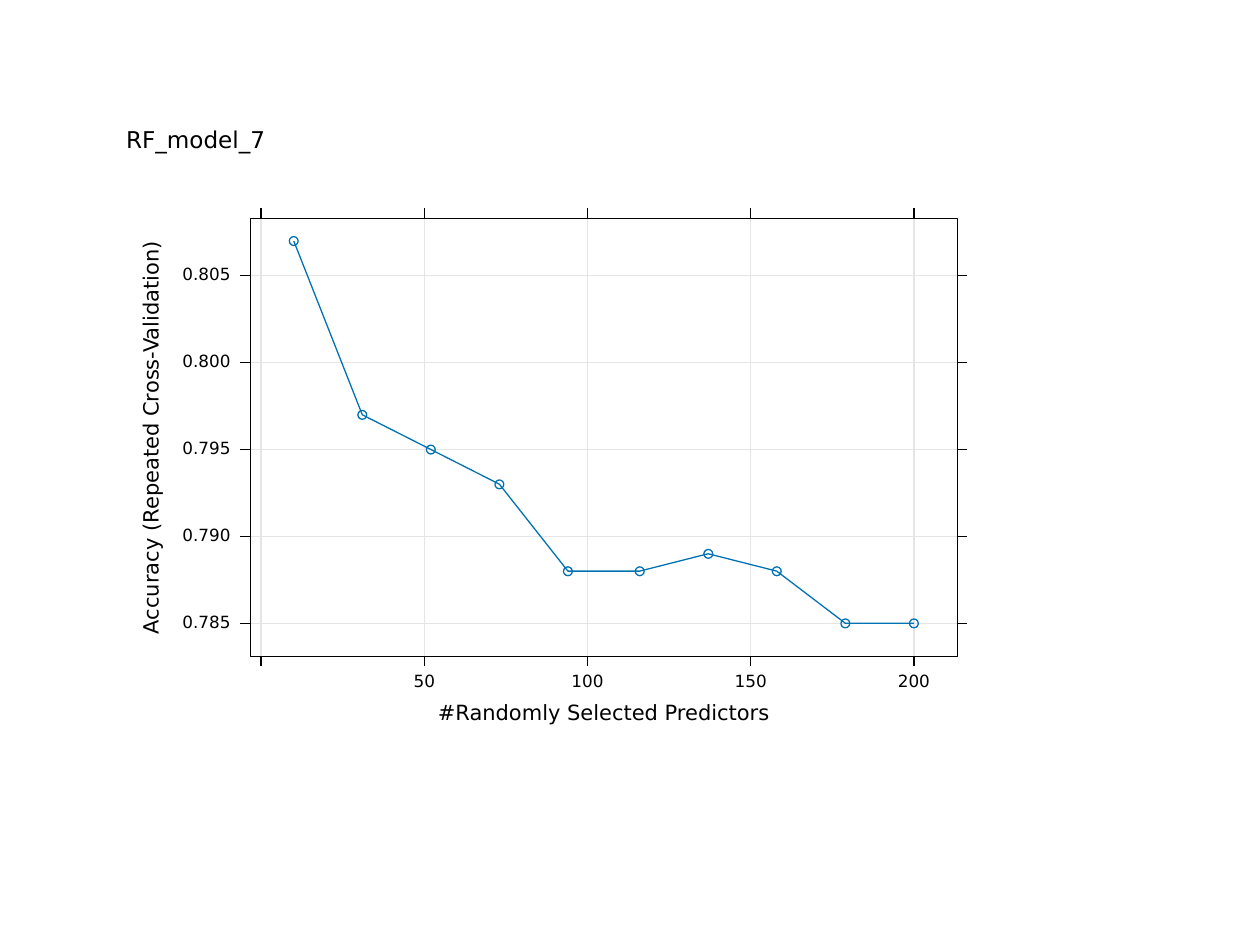
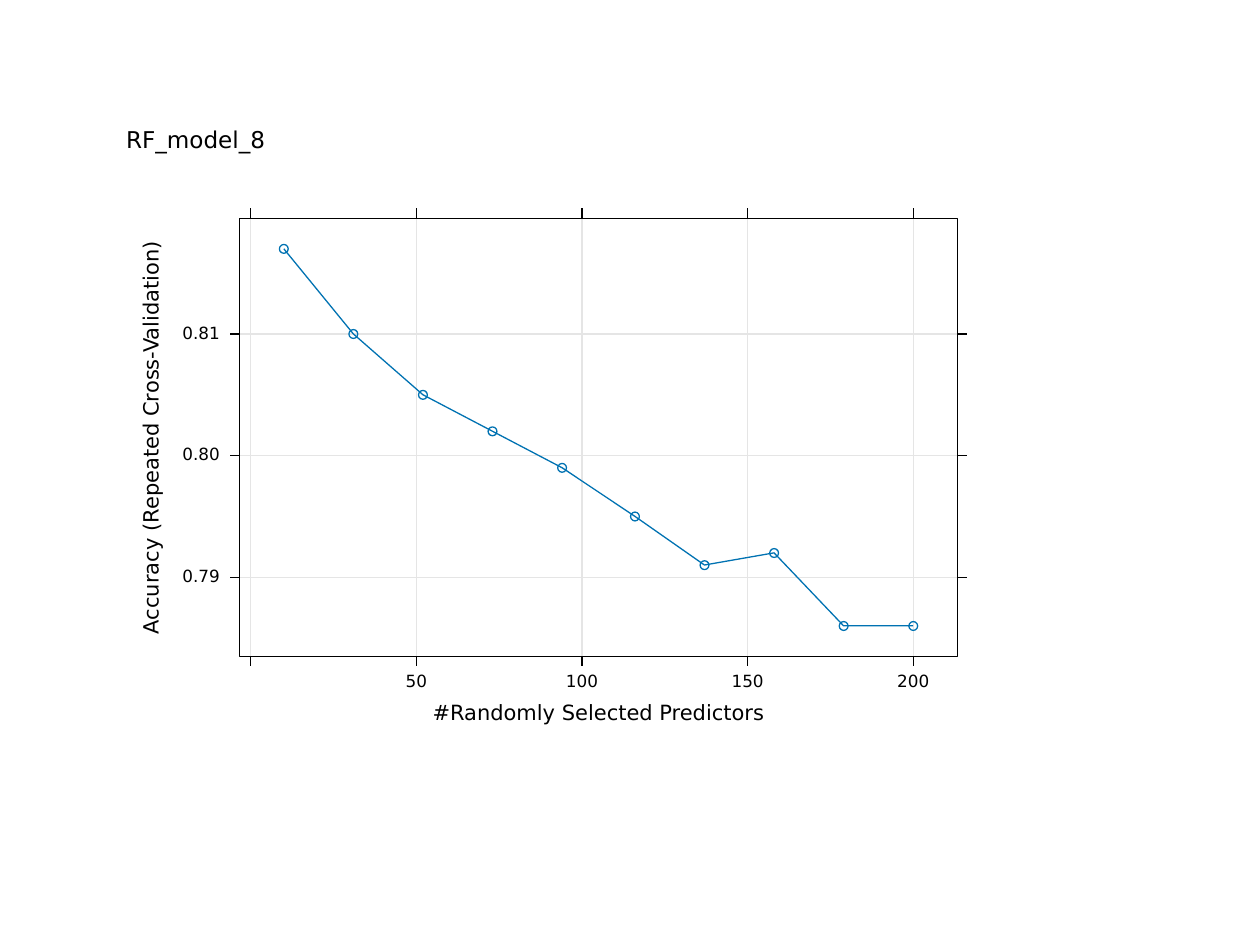
from collections import namedtuple

from lxml import etree
from pptx import Presentation
from pptx import util as u
from pptx.chart import data as cd
from pptx.dml.color import RGBColor
from pptx.enum import chart as ch, shapes, text
from pptx.oxml import parse_xml
from pptx.oxml.ns import nsdecls, qn

BLACK = RGBColor(0, 0, 0)
GRID = RGBColor(0xE5, 0xE5, 0xE5)
BLUE = RGBColor(0x00, 0x72, 0xB2)
FONT = "DejaVu Sans"
COLS, ROWS = 100, 75
CELL = u.Inches(10) // COLS
STROKE = u.Pt(0.75)
TICK = 0.79
DOT = 0.7

Box = namedtuple("Box", "left top right bottom")
Model = namedtuple("Model", "name left span ticks digits scores")

TRIES = [round(10 + 190 * i / 9) for i in range(10)]
X_SPAN = (-3.3, 213.3)
MODELS = [
    Model("RF_model_7", 19.87, (0.7831, 0.8083),
          [0.785, 0.79, 0.795, 0.8, 0.805], 3,
          [0.807, 0.797, 0.795, 0.793, 0.788,
           0.788, 0.789, 0.788, 0.785, 0.785]),
    Model("RF_model_8", 19.03, (0.7835, 0.8195),
          [0.79, 0.8, 0.81], 2,
          [0.817, 0.81, 0.805, 0.802, 0.799,
           0.795, 0.791, 0.792, 0.786, 0.786]),
]


def cells(*counts):
    return [u.Emu(round(n * CELL)) for n in counts]


def style(target, values):
    for key, value in values.items():
        setattr(target, key, value)


def write(frame, words, size, align):
    style(frame, dict(margin_left=0, margin_right=0, margin_top=0, margin_bottom=0,
                      word_wrap=False, auto_size=text.MSO_AUTO_SIZE.NONE,
                      vertical_anchor=text.MSO_ANCHOR.MIDDLE, text=words))
    para = frame.paragraphs[0]
    style(para, dict(alignment=align, line_spacing=u.Pt(size)))
    style(para.runs[0].font, dict(name=FONT, size=u.Pt(size)))
    para.runs[0].font.color.rgb = BLACK


def label(slide, words, mid, size, wide, align=text.PP_ALIGN.CENTER, turn=0):
    high = size / 7.2
    box = slide.shapes.add_textbox(
        *cells(mid[0] - wide / 2, mid[1] - high / 2, wide, high))
    box.rotation = turn
    write(box.text_frame, words, size, align)


def rule(slide, start, end, color):
    line = slide.shapes.add_connector(
        shapes.MSO_CONNECTOR.STRAIGHT, *cells(*start, *end))
    line.line.width = STROKE
    line.line.color.rgb = color
    etree.SubElement(line.element.spPr, qn("a:effectLst"))


def outline(slide, kind, place, color):
    shape = slide.shapes.add_shape(kind, *cells(*place))
    shape.shadow.inherit = False
    shape.fill.background()
    shape.line.width = STROKE
    shape.line.color.rgb = color


def scale(span, start, end):
    low, high = span
    return lambda v: start + (v - low) / (high - low) * (end - start)


def lattice(slide, box, model, to_x, to_y):
    for n in range(0, 201, 50):
        x = to_x(n)
        rule(slide, (x, box.bottom), (x, box.top), GRID)
        rule(slide, (x, box.top), (x, box.top - TICK), BLACK)
        rule(slide, (x, box.bottom), (x, box.bottom + TICK), BLACK)
        if n:
            label(slide, str(n), (x, box.bottom + 2.08), 9.6, 0.85 * len(str(n)))
    edge = box.left - 2 * TICK
    wide = edge - 14.5
    for n in model.ticks:
        y = to_y(n)
        rule(slide, (box.left, y), (box.right, y), GRID)
        rule(slide, (box.left, y), (box.left - TICK, y), BLACK)
        rule(slide, (box.right, y), (box.right + TICK, y), BLACK)
        label(slide, f"{n:.{model.digits}f}", (edge - wide / 2, y), 9.6, wide,
              text.PP_ALIGN.RIGHT)


def curve(slide, box, model):
    data = cd.XyChartData()
    series = data.add_series(model.name)
    for point in zip(TRIES, model.scores):
        series.add_data_point(*point)
    chart = slide.shapes.add_chart(
        ch.XL_CHART_TYPE.XY_SCATTER_LINES_NO_MARKERS,
        *cells(box.left, box.top, box.right - box.left, box.bottom - box.top), data).chart
    style(chart, dict(has_title=False, has_legend=False))
    style(chart.font, dict(name=FONT, size=u.Pt(9.6)))
    for axis, (low, high) in ((chart.category_axis, X_SPAN), (chart.value_axis, model.span)):
        style(axis, dict(minimum_scale=low, maximum_scale=high,
                         has_major_gridlines=False, visible=False))
    plot = chart.plots[0]
    plot.vary_by_categories = False
    line = plot.series[0]
    line.smooth = False
    line.marker.style = ch.XL_MARKER_STYLE.NONE
    line.format.line.width = STROKE
    line.format.line.color.rgb = BLUE
    fill_plot(chart)


def fill_plot(chart):
    root = chart.element.find(qn("c:chart"))
    area = root.find(qn("c:plotArea"))
    for old in area.findall(qn("c:layout")):
        area.remove(old)
    parts = "".join(f'<c:{k} val="{v}"/>' for k, v in (
        ("layoutTarget", "inner"), ("xMode", "edge"), ("yMode", "edge"),
        ("x", 0), ("y", 0), ("w", 1), ("h", 1)))
    area.insert(0, parse_xml(f'<c:layout {nsdecls("c")}><c:manualLayout>{parts}'
                             '</c:manualLayout></c:layout>'))
    clear = (f'<c:spPr {nsdecls("c", "a")}><a:noFill/>'
             '<a:ln><a:noFill/></a:ln></c:spPr>')
    area.append(parse_xml(clear))
    root.addnext(parse_xml(clear))


def build(deck, model):
    slide = deck.slides.add_slide(deck.slide_layouts[5])
    title = slide.shapes.title
    style(title, dict(zip(("left", "top", "width", "height"), cells(10, 10.3, 14, 1.8))))
    write(title.text_frame, model.name, 13.2, text.PP_ALIGN.LEFT)

    box = Box(model.left, 17.34, 75.98, 52.1)
    to_x = scale(X_SPAN, box.left, box.right)
    to_y = scale(model.span, box.bottom, box.top)
    mid_x, mid_y = (box.left + box.right) / 2, (box.top + box.bottom) / 2

    label(slide, "#Randomly Selected Predictors", (mid_x, 56.7), 12, 26.4)
    label(slide, "Accuracy (Repeated Cross-Validation)", (12.1, mid_y), 12, 31.6, turn=270)
    lattice(slide, box, model, to_x, to_y)
    curve(slide, box, model)
    for n, score in zip(TRIES, model.scores):
        outline(slide, shapes.MSO_SHAPE.OVAL,
                (to_x(n) - DOT / 2, to_y(score) - DOT / 2, DOT, DOT), BLUE)
    outline(slide, shapes.MSO_SHAPE.RECTANGLE,
            (box.left, box.top, box.right - box.left, box.bottom - box.top), BLACK)


def main():
    deck = Presentation()
    style(deck, dict(slide_width=u.Emu(COLS * CELL), slide_height=u.Emu(ROWS * CELL)))
    for model in MODELS:
        build(deck, model)
    deck.save("out.pptx")


if __name__ == "__main__":
    main()
